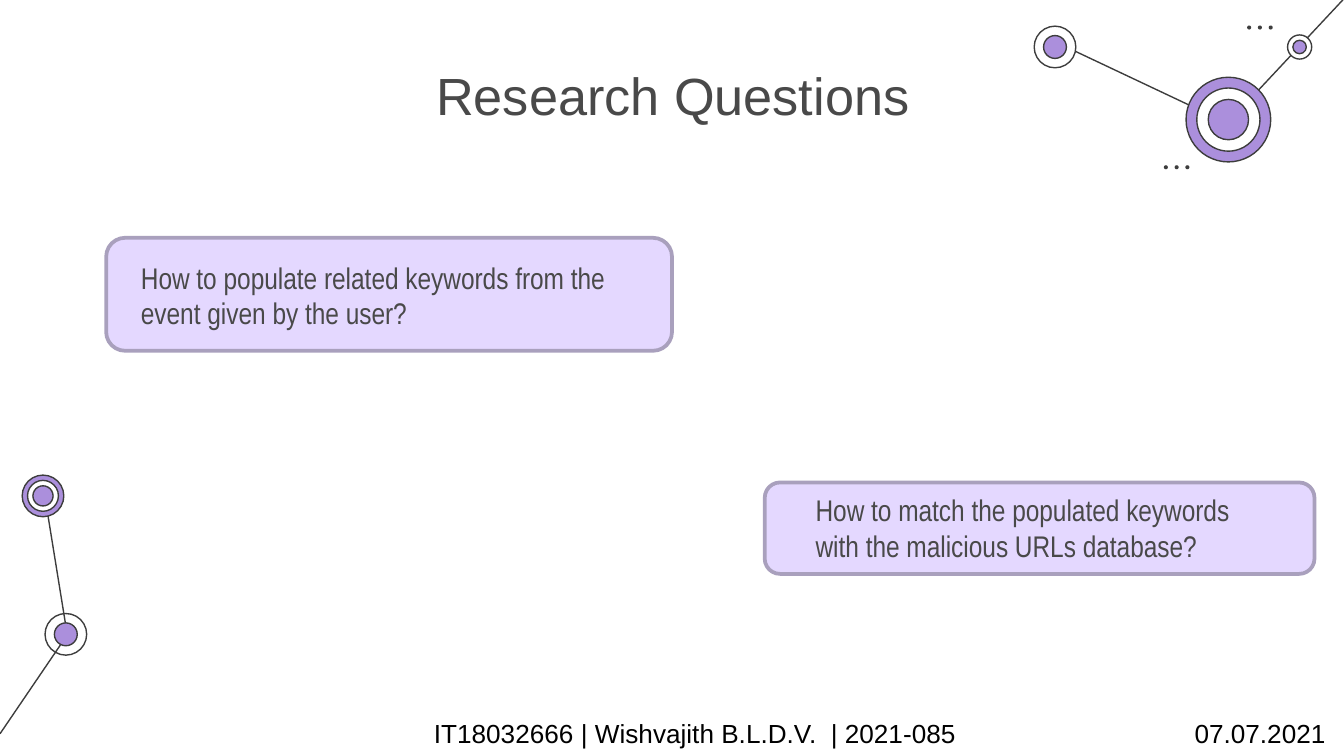
import pptx
import pptx.util
import pptx.dml.color
import pptx.enum.shapes
import pptx.enum.text
import pptx.oxml
import pptx.oxml.ns
from dataclasses import dataclass
from typing import Optional

Inches = pptx.util.Inches
Pt = pptx.util.Pt
RGBColor = pptx.dml.color.RGBColor
Shape = pptx.enum.shapes.MSO_SHAPE
Align = pptx.enum.text.PP_ALIGN

INK = RGBColor(0x3D, 0x3D, 0x3D)
PURPLE = RGBColor(0xAB, 0x8F, 0xDC)
WHITE = RGBColor(0xFF, 0xFF, 0xFF)
LILAC = RGBColor(0xE4, 0xD8, 0xFF)
EDGE = RGBColor(0xA9, 0xA0, 0xBD)
GREY = RGBColor(0x49, 0x49, 0x49)
BLACK = RGBColor(0, 0, 0)


@dataclass
class Box:
    left: float
    top: float
    width: float
    height: float

    def place(self) -> tuple:
        return tuple(map(Inches, (self.left, self.top, self.width, self.height)))


@dataclass
class Ring:
    size: float
    fill: Optional[RGBColor]


@dataclass
class Node:
    """Concentric rings, outermost first."""
    x: float
    y: float
    rings: list[Ring]


@dataclass
class Link:
    x1: float
    y1: float
    x2: float
    y2: float


@dataclass
class Card:
    frame: Box
    label: Box
    text: str


LINKS = [
    Link(0.5, 4.72, 0.33, 3.67),
    Link(0, 5.46, 0.49, 4.74),
    Link(9.14, 0.92, 7.87, 0.32),
    Link(10, -0.01, 9.14, 0.91),
]
NODES = [
    Node(0.49, 4.72, [Ring(0.31, None), Ring(0.17, PURPLE)]),
    Node(0.32, 3.69, [Ring(0.31, PURPLE), Ring(0.23, WHITE), Ring(0.15, PURPLE)]),
    Node(9.14, 0.89, [Ring(0.63, PURPLE), Ring(0.47, WHITE), Ring(0.3, PURPLE)]),
    Node(7.85, 0.35, [Ring(0.31, WHITE), Ring(0.17, PURPLE)]),
    Node(9.67, 0.35, [Ring(0.18, WHITE), Ring(0.1, PURPLE)]),
]
DOTS = [(9.28, 0.19), (8.66, 1.23)]
DOT_SIZE, DOT_STEP = 0.03, 0.08
CARDS = [
    Card(Box(5.69, 3.59, 4.09, 0.68), Box(5.97, 3.61, 3.52, 0.64),
         "How to match the populated keywords with the malicious URLs database?"),
    Card(Box(0.79, 1.77, 4.21, 0.84), Box(0.95, 1.88, 4.05, 0.64),
         "How to populate related keywords from the event given by the user?"),
]
FOOT = "\tIT18032666 | Wishvajith B.L.D.V.  | 2021-085\t07.07.2021"
FOOT_TABS = [2, 7.66]


def add_shape(slide, kind, box: Box, fill: Optional[RGBColor],
              line: Optional[RGBColor], width: float = 0.75) -> None:
    shape = slide.shapes.add_shape(kind, *box.place())
    shape.shadow.inherit = False
    if fill is None:
        shape.fill.background()
    else:
        shape.fill.solid()
        shape.fill.fore_color.rgb = fill
    if line is None:
        shape.line.fill.background()
    else:
        shape.line.color.rgb = line
        shape.line.width = Pt(width)


def add_link(slide, link: Link) -> None:
    ends = map(Inches, (link.x1, link.y1, link.x2, link.y2))
    line = slide.shapes.add_connector(
        pptx.enum.shapes.MSO_CONNECTOR.STRAIGHT, *ends)
    line.line.color.rgb = INK
    line.line.width = Pt(0.75)
    props = line._element.spPr
    props.append(props.makeelement(pptx.oxml.ns.qn("a:effectLst"), {}))


def add_node(slide, node: Node) -> None:
    for ring in node.rings:
        half = ring.size / 2
        box = Box(node.x - half, node.y - half, ring.size, ring.size)
        add_shape(slide, Shape.OVAL, box, ring.fill, INK)


def set_tabs(para, stops: list[float]) -> None:
    props = para._p.get_or_add_pPr()
    tabs = props.makeelement(pptx.oxml.ns.qn("a:tabLst"), {})
    for stop in stops:
        tabs.append(tabs.makeelement(
            pptx.oxml.ns.qn("a:tab"), {"pos": str(Inches(stop)), "algn": "l"}))
    props.append(tabs)


def set_text(frame, text: str, font: str, size: float,
             color: RGBColor, align=Align.LEFT) -> None:
    frame.text = text
    frame.word_wrap = True
    para = frame.paragraphs[0]
    para.alignment = align
    run = para.runs[0]
    run.font.name = font
    run.font.size = Pt(size)
    run.font.color.rgb = color


def add_text(slide, box: Box, *style):
    frame = slide.shapes.add_textbox(*box.place()).text_frame
    set_text(frame, *style)
    return frame


def set_title(slide) -> None:
    title = slide.shapes.title
    title.left, title.top, title.width, title.height = Box(2.77, 0.37, 4.47, 0.63).place()
    frame = title.text_frame
    frame.margin_left = frame.margin_right = Inches(0.1)
    frame.margin_top = frame.margin_bottom = Inches(0.1)
    frame.vertical_anchor = pptx.enum.text.MSO_ANCHOR.TOP
    frame.auto_size = pptx.enum.text.MSO_AUTO_SIZE.NONE
    set_text(frame, "Research Questions", "Arial", 28, GREY, Align.CENTER)


def main() -> None:
    deck = pptx.Presentation()
    deck.slide_width, deck.slide_height = Inches(10), Inches(10 * 9 / 16)
    slide = deck.slides.add_slide(deck.slide_layouts[5])
    set_title(slide)
    for link in LINKS:
        add_link(slide, link)
    for node in NODES:
        add_node(slide, node)
    for left, top in DOTS:
        for i in range(3):
            dot = Box(left + i * DOT_STEP, top, DOT_SIZE, DOT_SIZE)
            add_shape(slide, Shape.OVAL, dot, INK, None)
    for card in CARDS:
        add_shape(slide, Shape.ROUNDED_RECTANGLE, card.frame, LILAC, EDGE, 2)
    foot = add_text(slide, Box(1.13, 5.29, 8.87, 0.33), FOOT, "Arial", 14, BLACK)
    set_tabs(foot.paragraphs[0], FOOT_TABS)
    for card in CARDS[::-1]:
        add_text(slide, card.label, card.text, "Arial Narrow", 16, GREY)
    deck.save("out.pptx")


if __name__ == "__main__":
    main()
